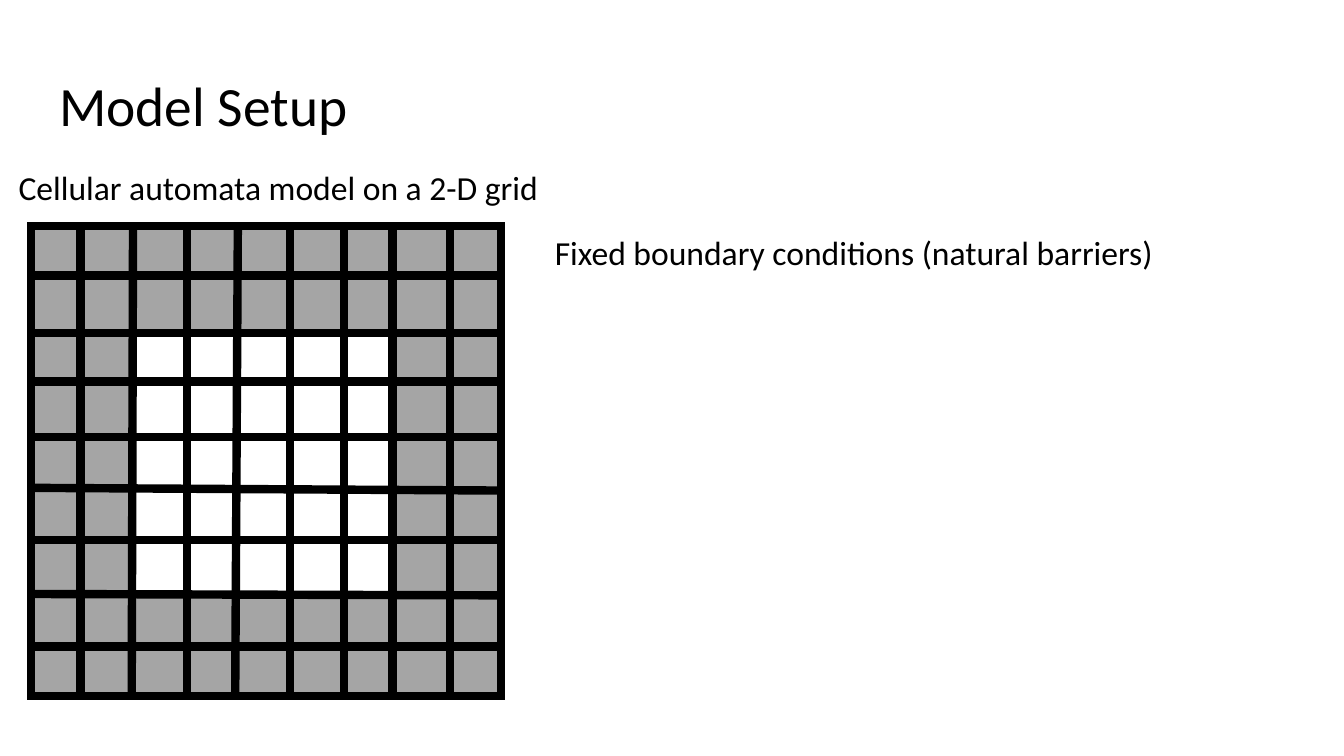
from dataclasses import dataclass

from lxml.etree import SubElement
from pptx import Presentation
from pptx.dml.color import RGBColor
from pptx.enum.shapes import MSO_CONNECTOR as Connector, MSO_SHAPE as Preset
from pptx.enum.text import MSO_ANCHOR as Anchor, PP_ALIGN as Align
from pptx.oxml.ns import qn
from pptx.slide import Slide
from pptx.text.text import TextFrame
from pptx.util import Inches, Pt

FONT = "Calibri"
BLACK = "000000"
GRAY = "A5A5A5"
WHITE = "FFFFFF"
GRID_WEIGHT = 4.5


@dataclass(frozen=True)
class Box:
    left: float
    top: float
    width: float
    height: float

    def lengths(self):
        return [Inches(n) for n in (self.left, self.top, self.width, self.height)]


@dataclass(frozen=True)
class GridLine:
    start: float
    end: float


GRID = Box(0.23, 1.68, 3.5, 3.5)
BARRIERS = [
    Box(0.23, 1.7, 3.5, 0.78),
    Box(2.92, 1.66, 0.8, 3.5),
    Box(0.2, 1.68, 0.8, 3.5),
    Box(0.2, 4.44, 3.55, 0.76),
]
ROW_LINES = [
    GridLine(2.05, 2.05),
    GridLine(2.48, 2.48),
    GridLine(2.84, 2.84),
    GridLine(3.25, 3.25),
    GridLine(3.63, 3.65),
    GridLine(4.02, 4.02),
    GridLine(4.42, 4.43),
    GridLine(4.81, 4.81),
]
COLUMN_LINES = [
    GridLine(0.6, 0.6),
    GridLine(0.99, 0.98),
    GridLine(1.39, 1.39),
    GridLine(1.77, 1.75),
    GridLine(2.16, 2.16),
    GridLine(2.56, 2.56),
    GridLine(2.92, 2.92),
    GridLine(3.35, 3.35),
]
CAPTIONS = [
    ("Cellular automata model on a 2-D grid", Box(0.04, 1.19, 4.24, 0.71)),
    ("Fixed boundary conditions (natural barriers)", Box(4.03, 1.68, 5.15, 0.4)),
]


def color(value: str) -> RGBColor:
    return RGBColor.from_string(value)


def write(frame: TextFrame, text: str, size: float) -> None:
    frame.word_wrap = True
    frame.text = text
    paragraph = frame.paragraphs[0]
    paragraph.alignment = Align.LEFT
    paragraph.font.name = FONT
    paragraph.font.size = Pt(size)
    paragraph.font.color.rgb = color(BLACK)


def add_title(slide: Slide, text: str, box: Box) -> None:
    title = slide.shapes.title
    title.left, title.top, title.width, title.height = box.lengths()
    frame = title.text_frame
    write(frame, text, 29.7)
    frame.vertical_anchor = Anchor.MIDDLE
    frame.margin_left = frame.margin_right = Inches(0.1)
    frame.margin_top = frame.margin_bottom = Inches(0.1)
    frame.paragraphs[0].line_spacing = 0.9


def add_rectangle(slide: Slide, box: Box, fill: str | None, line: str, weight: float) -> None:
    shape = slide.shapes.add_shape(Preset.RECTANGLE, *box.lengths())
    shape.shadow.inherit = False
    if fill:
        shape.fill.solid()
        shape.fill.fore_color.rgb = color(fill)
    else:
        shape.fill.background()
    shape.line.color.rgb = color(line)
    shape.line.width = Pt(weight)
    SubElement(shape.line._get_or_add_ln(), qn("a:miter"), lim="800000")


def add_line(slide: Slide, x1: float, y1: float, x2: float, y2: float) -> None:
    ends = [Inches(n) for n in (x1, y1, x2, y2)]
    connector = slide.shapes.add_connector(Connector.STRAIGHT, *ends)
    connector.line.color.rgb = color(BLACK)
    connector.line.width = Pt(GRID_WEIGHT)
    SubElement(connector._element.spPr, qn("a:effectLst"))


def add_grid(slide: Slide) -> None:
    for barrier in BARRIERS:
        add_rectangle(slide, barrier, GRAY, WHITE, 1.5)
    add_rectangle(slide, GRID, None, BLACK, GRID_WEIGHT)
    right, bottom = GRID.left + GRID.width, GRID.top + GRID.height
    for row in ROW_LINES:
        add_line(slide, right, row.end, GRID.left, row.start)
    for column in COLUMN_LINES:
        add_line(slide, column.end, bottom, column.start, GRID.top)


def main() -> None:
    presentation = Presentation()
    presentation.slide_width = Inches(10)
    presentation.slide_height = Inches(5.625)
    slide = presentation.slides.add_slide(presentation.slide_layouts[5])
    add_title(slide, "Model Setup", Box(0.34, 0.49, 9.32, 0.63))
    add_grid(slide)
    for text, box in CAPTIONS:
        caption = slide.shapes.add_textbox(*box.lengths())
        write(caption.text_frame, text, 18)
    presentation.save("out.pptx")


if __name__ == "__main__":
    main()
